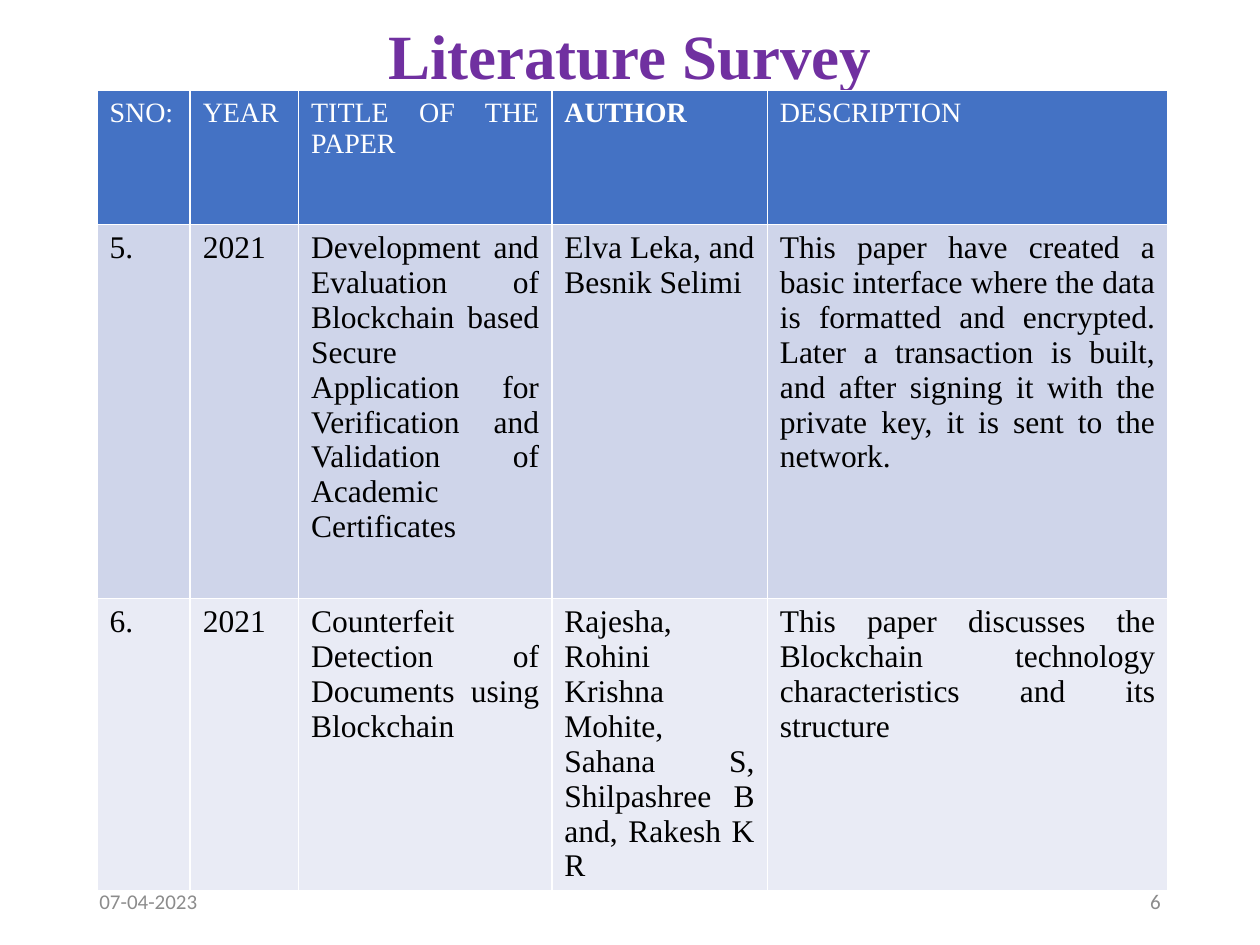
from dataclasses import dataclass

from lxml.etree import SubElement
from pptx import Presentation
from pptx.dml.color import RGBColor
from pptx.enum.text import MSO_ANCHOR, MSO_AUTO_SIZE, PP_ALIGN
from pptx.oxml.ns import qn
from pptx.util import Inches, Pt

HUES = {
    "title": "7030A0",
    "head": "4472C4",
    "odd": "CFD5EA",
    "even": "E9EBF5",
    "line": "FFFFFF",
    "ink": "000000",
    "foot": "8C8C8C",
}
SERIF = "Times New Roman"
COLS = [0.74, 0.86, 2.01, 1.71, 3.18]


@dataclass
class Row:
    high: float
    fill: str
    ink: str
    size: int
    texts: list[str]


@dataclass
class Note:
    left: float
    text: str
    align: PP_ALIGN


ROWS = [
    Row(1.06, "head", "line", 16,
        ["SNO:", "YEAR", "TITLE OF THE PAPER", "AUTHOR", "DESCRIPTION"]),
    Row(2.97, "odd", "ink", 18, [
        "5.",
        "2021",
        "Development and Evaluation of Blockchain based Secure Application "
        "for Verification and Validation of Academic Certificates",
        "Elva Leka, and Besnik Selimi",
        "This paper have created a basic interface where the data is formatted "
        "and encrypted. Later a transaction is built, and after signing it "
        "with the private key, it is sent to the network. ",
    ]),
    Row(2.32, "even", "ink", 18, [
        "6.",
        "2021",
        "Counterfeit Detection of Documents using Blockchain",
        "Rajesha, Rohini Krishna Mohite, Sahana S, Shilpashree B and, Rakesh K R",
        "This paper discusses the Blockchain technology characteristics "
        "and its structure",
    ]),
]
NOTES = [
    Note(0.69, "07-04-2023", PP_ALIGN.LEFT),
    Note(7.06, "6", PP_ALIGN.RIGHT),
]


def write(frame, text: str, font: str, size: int, hue: str,
          align: PP_ALIGN, bold: bool = False) -> None:
    para = frame.paragraphs[0]
    para.alignment = align
    run = para.add_run()
    run.text = text
    run.font.name = font
    run.font.size = Pt(size)
    run.font.bold = bold
    run.font.color.rgb = RGBColor.from_string(HUES[hue])


def edge(cell) -> None:
    """Draw the cell's borders; call before its fill is set."""
    props = cell._tc.get_or_add_tcPr()
    for side in "LRTB":
        line = SubElement(props, qn(f"a:ln{side}"), w=str(Pt(1)))
        fill = SubElement(line, qn("a:solidFill"))
        SubElement(fill, qn("a:srgbClr"), val=HUES["line"])


def add_title(slide) -> None:
    title = slide.shapes.title
    title.left, title.top = Inches(0.69), Inches(0.18)
    title.width, title.height = Inches(8.62), Inches(0.58)
    frame = title.text_frame
    frame.auto_size = MSO_AUTO_SIZE.NONE
    frame.vertical_anchor = MSO_ANCHOR.MIDDLE
    write(frame, "Literature Survey", SERIF, 36, "title", PP_ALIGN.CENTER, True)
    frame.paragraphs[0].line_spacing = 0.9


def add_note(slide, note: Note) -> None:
    box = slide.shapes.add_textbox(
        Inches(note.left), Inches(6.95), Inches(2.25), Inches(0.4))
    frame = box.text_frame
    frame.word_wrap = True
    frame.vertical_anchor = MSO_ANCHOR.MIDDLE
    write(frame, note.text, "Calibri", 12, "foot", note.align)


def add_survey(slide) -> None:
    high = sum(row.high for row in ROWS)
    table = slide.shapes.add_table(
        len(ROWS), len(COLS), Inches(0.77), Inches(0.72),
        Inches(sum(COLS)), Inches(high)).table
    for col, wide in zip(table.columns, COLS):
        col.width = Inches(wide)
    for r, row in enumerate(ROWS):
        table.rows[r].height = Inches(row.high)
        for c, text in enumerate(row.texts):
            cell = table.cell(r, c)
            edge(cell)
            cell.fill.solid()
            cell.fill.fore_color.rgb = RGBColor.from_string(HUES[row.fill])
            write(cell.text_frame, text, SERIF, row.size, row.ink,
                  PP_ALIGN.JUSTIFY, text == "AUTHOR")


def main() -> None:
    deck = Presentation()
    deck.slide_width, deck.slide_height = Inches(10), Inches(7.5)
    slide = deck.slides.add_slide(deck.slide_layouts[5])
    add_title(slide)
    add_survey(slide)
    for note in NOTES:
        add_note(slide, note)
    deck.save("out.pptx")


if __name__ == "__main__":
    main()
